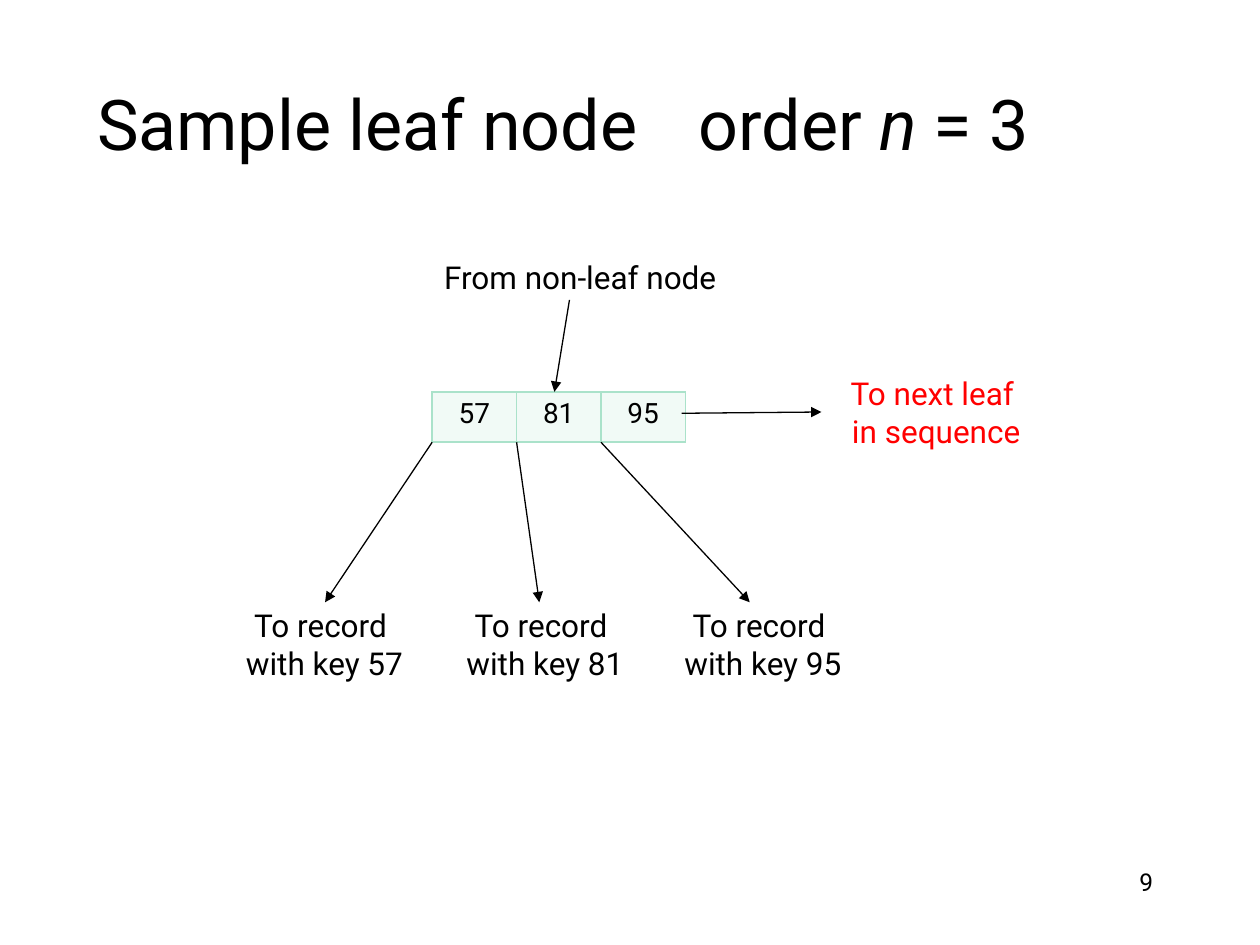
from lxml import etree
from pptx import Presentation
from pptx import util as u
from pptx.dml.color import RGBColor
from pptx.enum import shapes, text
from pptx.oxml.ns import qn

HUES = {"ink": "000000", "next": "FF0000", "cell": "F1FAF6", "edge": "AAE2CA"}
FONT = "Roboto"
KEYS = ["57", "81", "95"]
LEFT, TOP, COL, ROW = 3.43, 3.11, 0.67, 0.4  # grid of the leaf node
CENTER, RIGHT = text.PP_ALIGN.CENTER, text.PP_ALIGN.RIGHT


def hue(name):
    return RGBColor.from_string(HUES[name])


def add_run(para, words, size, color="ink", italic=False):
    run = para.add_run()
    run.text = words
    font = run.font
    font.name, font.size, font.italic = FONT, u.Pt(size), italic
    font.color.rgb = hue(color)


def add_title(slide):
    title = slide.shapes.title
    title.left, title.top = u.Inches(0.67), u.Inches(0.49)
    title.width, title.height = u.Inches(8.5), u.Inches(0.97)
    frame = title.text_frame
    frame.auto_size = text.MSO_AUTO_SIZE.NONE
    frame.vertical_anchor = text.MSO_ANCHOR.MIDDLE
    para = frame.paragraphs[0]
    para.alignment = text.PP_ALIGN.LEFT
    add_run(para, "Sample leaf node\t  order ", 40)
    add_run(para, "n", 40, italic=True)
    add_run(para, " = 3", 40)


def add_label(slide, box, lines, size=18, color="ink", align=CENTER, wrap=False):
    frame = slide.shapes.add_textbox(*map(u.Inches, box)).text_frame
    frame.word_wrap = wrap
    if not wrap:
        frame.auto_size = text.MSO_AUTO_SIZE.SHAPE_TO_FIT_TEXT
    for i, line in enumerate(lines):
        para = frame.add_paragraph() if i else frame.paragraphs[0]
        para.alignment = align
        add_run(para, line, size, color)


def add_arrow(slide, start, end):
    line = slide.shapes.add_connector(
        shapes.MSO_CONNECTOR.STRAIGHT, *map(u.Inches, start + end))
    line.line.color.rgb = hue("ink")
    line.line.width = u.Pt(0.75)
    etree.SubElement(line.line._get_or_add_ln(), qn("a:tailEnd"), type="triangle")
    etree.SubElement(line._element.spPr, qn("a:effectLst"))


def add_edges(cell):
    props = cell._tc.get_or_add_tcPr()
    for i, side in enumerate(("lnL", "lnR", "lnT", "lnB")):
        edge = etree.Element(qn("a:" + side), w=str(u.Pt(1)))
        fill = etree.SubElement(edge, qn("a:solidFill"))
        etree.SubElement(fill, qn("a:srgbClr"), val=HUES["edge"])
        props.insert(i, edge)


def add_node(slide):
    box = (LEFT, TOP, COL * len(KEYS), ROW)
    table = slide.shapes.add_table(1, len(KEYS), *map(u.Inches, box)).table
    table.first_row = table.horz_banding = False
    for i, key in enumerate(KEYS):
        table.columns[i].width = u.Inches(COL)
        cell = table.cell(0, i)
        cell.fill.solid()
        cell.fill.fore_color.rgb = hue("cell")
        para = cell.text_frame.paragraphs[0]
        para.alignment = CENTER
        add_run(para, key, 16)
        add_edges(cell)


def main():
    deck = Presentation()
    deck.slide_width, deck.slide_height = u.Inches(10), u.Inches(7.5)
    slide = deck.slides.add_slide(deck.slide_layouts[5])
    add_title(slide)
    add_node(slide)

    add_label(slide, (3.41, 2, 2.39, 0.4), ["From non-leaf node"])
    add_arrow(slide, (4.52, 2.38), (4.4, TOP))
    add_label(slide, (6.64, 2.92, 1.58, 0.71),
              ["To next leaf ", "in sequence"], color="next")
    add_arrow(slide, (5.41, 3.28), (6.52, 3.27))

    for i, (key, x, tip) in enumerate(zip(KEYS, (1.83, 3.58, 5.31),
                                          (2.58, 4.28, 5.95))):
        add_label(slide, (x, 4.76, 1.49, 0.71), ["To record ", "with key " + key])
        add_arrow(slide, (LEFT + i * COL, TOP + ROW), (tip, 4.78))

    add_label(slide, (7.17, 6.83, 2.08, 0.5), ["9"], 14, align=RIGHT, wrap=True)
    deck.save("out.pptx")


if __name__ == "__main__":
    main()
